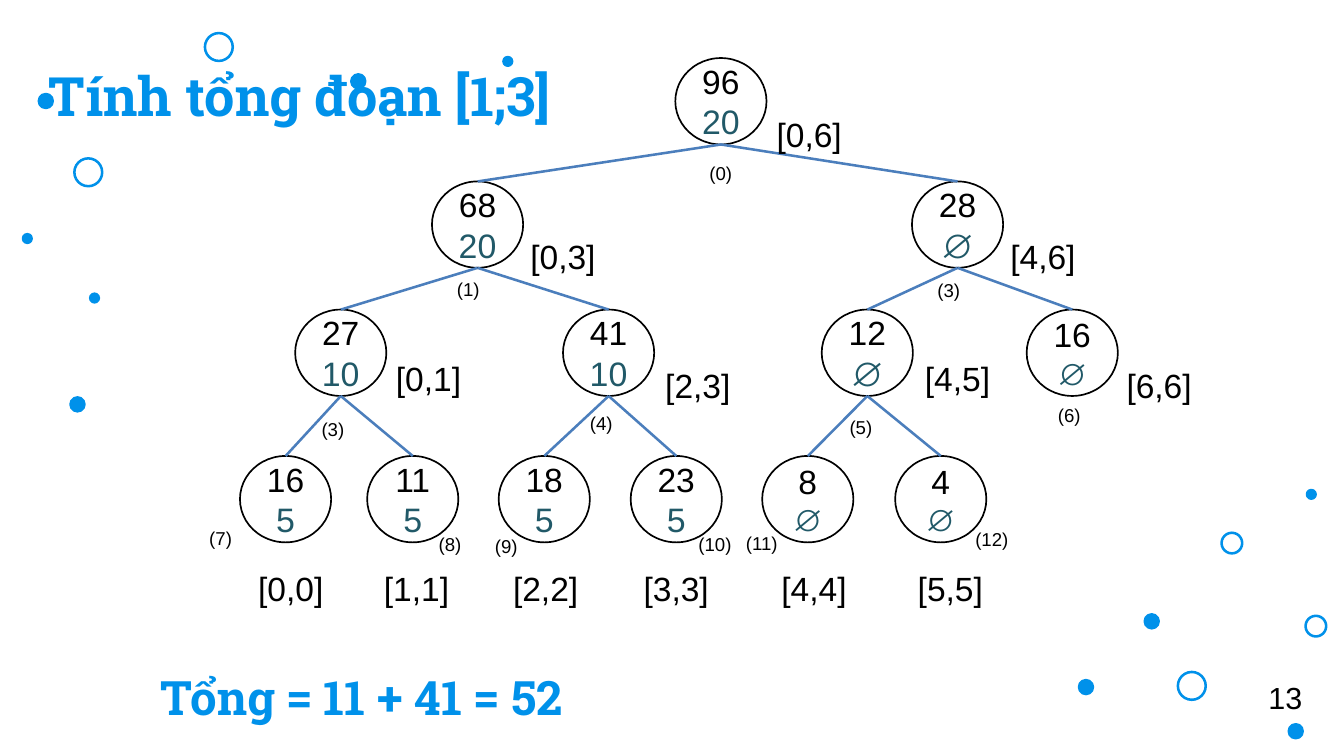
from typing import NamedTuple

from lxml import etree
from pptx import Presentation
from pptx.dml.color import RGBColor
from pptx.enum.shapes import MSO_CONNECTOR, MSO_SHAPE
from pptx.enum.text import MSO_ANCHOR, MSO_AUTO_SIZE, PP_ALIGN
from pptx.oxml.ns import qn
from pptx.util import Cm, Pt

STRAIGHT = MSO_CONNECTOR.STRAIGHT
OVAL = MSO_SHAPE.OVAL
TOP, MIDDLE = MSO_ANCHOR.TOP, MSO_ANCHOR.MIDDLE
LEFT, CENTER, RIGHT = PP_ALIGN.LEFT, PP_ALIGN.CENTER, PP_ALIGN.RIGHT
NO_AUTOFIT = MSO_AUTO_SIZE.NONE

BLACK = RGBColor(0x00, 0x00, 0x00)
WHITE = RGBColor(0xFF, 0xFF, 0xFF)
BLUE = RGBColor(0x00, 0x91, 0xEA)
TEAL = RGBColor(0x21, 0x59, 0x68)
EDGE_BLUE = RGBColor(0x4B, 0x7E, 0xBC)
BODY_FONT, HEAD_FONT = "Arial", "Roboto Slab"

NODE_W, NODE_H = 1.9, 1.8
ROW_TOPS = (1.21, 3.78, 6.45, 9.5)


class Node(NamedTuple):
    """Tree node; positions are in centimetres."""
    interval: str
    parent: str
    row: int
    center: float
    total: str
    lazy: str
    lazy_size: float
    interval_at: tuple
    index: str
    index_at: tuple


NODES = (
    Node("[0,6]", "", 0, 15.02, "96", "20", 20, (15.93, 2.24), "(0)", (14.53, 3.25)),
    Node("[0,3]", "[0,6]", 1, 9.95, "68", "20", 20, (10.8, 4.8), "(1)", (9.27, 5.66)),
    Node("[4,6]", "[0,6]", 1, 19.95, "28", "∅", 20, (20.8, 4.8), "(3)", (19.28, 5.69)),
    Node("[0,1]", "[0,3]", 2, 7.1, "27", "10", 20, (8, 7.34), "(3)", (6.45, 8.59)),
    Node("[2,3]", "[0,3]", 2, 12.68, "41", "10", 20, (13.61, 7.47), "(4)", (12.04, 8.46)),
    Node("[4,5]", "[4,6]", 2, 18.07, "12", "∅", 20, (19.02, 7.34), "(5)", (17.45, 8.53)),
    Node("[6,6]", "[4,6]", 2, 22.34, "16", "∅", 18, (23.22, 7.47), "(6)", (21.79, 8.28)),
    Node("[0,0]", "[0,1]", 3, 5.95, "16", "5", 20, (5.13, 11.71), "(7)", (4.11, 10.85)),
    Node("[1,1]", "[0,1]", 3, 8.6, "11", "5", 20, (7.75, 11.71), "(8)", (8.89, 10.97)),
    Node("[2,2]", "[2,3]", 3, 11.34, "18", "5", 20, (10.44, 11.71), "(9)", (10.06, 11.02)),
    Node("[3,3]", "[2,3]", 3, 14.09, "23", "5", 20, (13.16, 11.71), "(10)", (14.3, 10.97)),
    Node("[4,4]", "[4,5]", 3, 16.83, "8", "∅", 18, (16.03, 11.71), "(11)", (15.29, 10.95)),
    Node("[5,5]", "[4,5]", 3, 19.6, "4", "∅", 18, (18.87, 11.71), "(12)", (20.07, 10.87)),
)

# Diameter, filled, top-left corners
DOTS = (
    (0.29, True, ((22.48, 14.17), (23.85, 12.8), (26.85, 15.09), (7.32, 1.55),
                  (1.47, 8.28), (0.81, 1.96))),
    (0.18, True, ((27.23, 10.21), (0.48, 4.88), (1.88, 6.12), (10.49, 1.19))),
    (0.43, False, ((25.45, 11.1), (27.2, 12.83))),
    (0.58, False, ((1.55, 3.3), (4.27, 0.69), (24.54, 14))),
)


def write(p, text, size=19.8, color=BLACK, font=BODY_FONT, bold=False, align=LEFT):
    p.alignment = align
    r = p.add_run()
    r.text = text
    r.font.size = Pt(size)
    r.font.name = font
    r.font.bold = bold
    r.font.color.rgb = color


def add_oval(s, x, y, w, h, line, width, fill=None):
    sp = s.shapes.add_shape(OVAL, Cm(x), Cm(y), Cm(w), Cm(h))
    sp.shadow.inherit = False
    if fill is None:
        sp.fill.background()
    else:
        sp.fill.solid()
        sp.fill.fore_color.rgb = fill
    sp.line.color.rgb = line
    sp.line.width = Pt(width)
    return sp


def add_text(s, text, x, y, w, h, **text_format):
    tf = s.shapes.add_textbox(Cm(x), Cm(y), Cm(w), Cm(h)).text_frame
    tf.word_wrap = True
    write(tf.paragraphs[0], text, **text_format)


def set_title(s, text):
    sp = s.shapes.title
    sp.left, sp.top, sp.width, sp.height = Cm(0.76), Cm(1.17), Cm(12.62), Cm(1.63)
    tf = sp.text_frame
    tf.auto_size = NO_AUTOFIT
    tf.vertical_anchor = TOP
    write(tf.paragraphs[0], text, size=32, color=BLUE, font=HEAD_FONT, bold=True)


def add_node(s, node):
    sp = add_oval(s, node.center - NODE_W / 2, ROW_TOPS[node.row], NODE_W, NODE_H,
                  BLACK, 1, fill=WHITE)
    tf = sp.text_frame
    tf.margin_left = tf.margin_right = tf.margin_top = tf.margin_bottom = 0
    tf.vertical_anchor = MIDDLE
    write(tf.paragraphs[0], node.total, align=CENTER)
    write(tf.add_paragraph(), node.lazy, size=node.lazy_size, color=TEAL, align=CENTER)
    return sp


def add_edge(s, parent, child):
    """Join the bottom of the parent to the top of the child."""
    edge = s.shapes.add_connector(STRAIGHT, parent.left + parent.width // 2,
                                  parent.top + parent.height,
                                  child.left + child.width // 2, child.top)
    edge.end_connect(child, 0)
    edge.line.color.rgb = EDGE_BLUE
    edge.line.width = Pt(1.5)
    etree.SubElement(edge._element.spPr, qn("a:effectLst"))


def add_tree(s):
    ovals = {}
    for node in NODES:
        ovals[node.interval] = add_node(s, node)
        if node.parent:
            add_edge(s, ovals[node.parent], ovals[node.interval])
    for node in NODES:
        add_text(s, node.interval, *node.interval_at, 2.03, 1.09)
        add_text(s, node.index, *node.index_at, 1.37, 0.74, size=11)


def main():
    prs = Presentation()
    prs.slide_width, prs.slide_height = Cm(28), Cm(15.75)
    s = prs.slides.add_slide(prs.slide_layouts[5])
    for size, filled, corners in DOTS:
        for x, y in corners:
            add_oval(s, x, y, size, size, BLUE, 1.5, fill=BLUE if filled else None)
    set_title(s, "Tính tổng đoạn [1;3]")
    add_tree(s)
    add_text(s, "Tổng = 11 + 41 = 52", 3.1, 13.79, 12.62, 1.45,
             size=28, color=BLUE, font=HEAD_FONT, bold=True)
    add_text(s, "13", 25.7, 14.02, 1.68, 1.19, size=18, align=RIGHT)
    prs.save("out.pptx")


if __name__ == "__main__":
    main()
